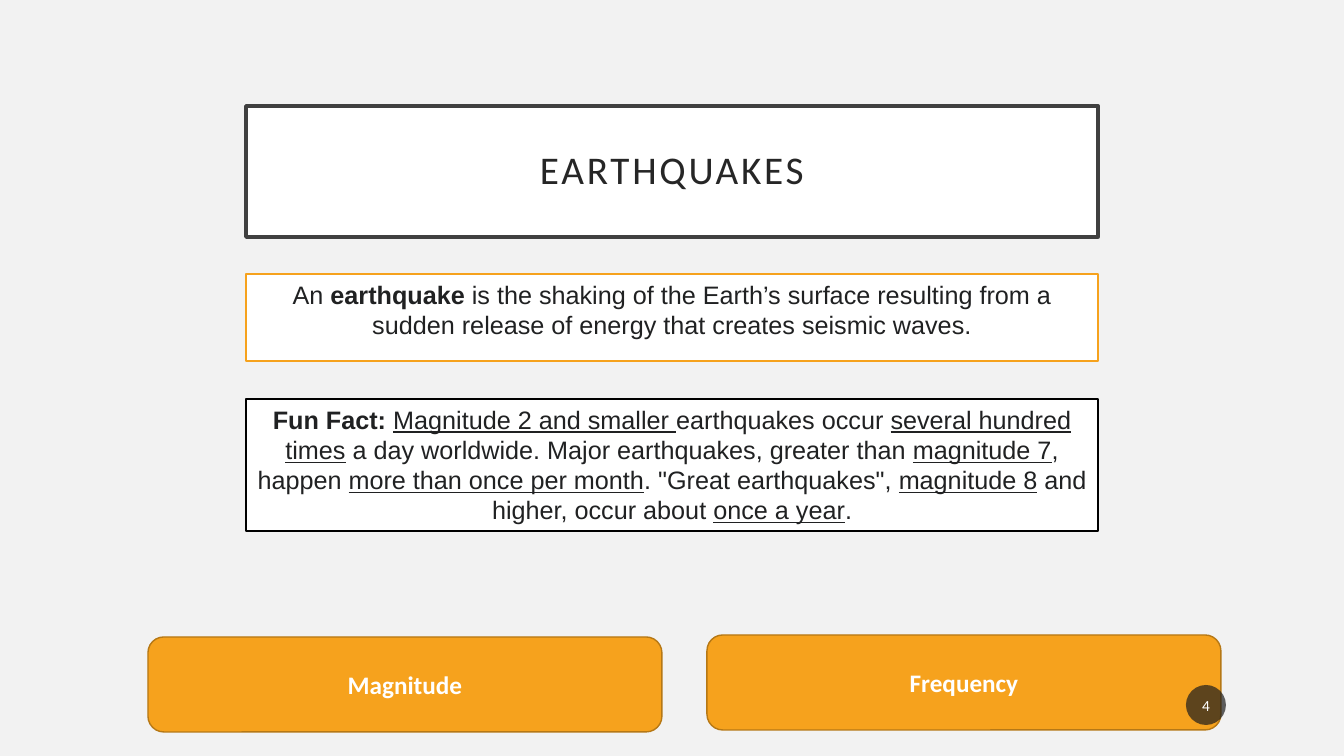
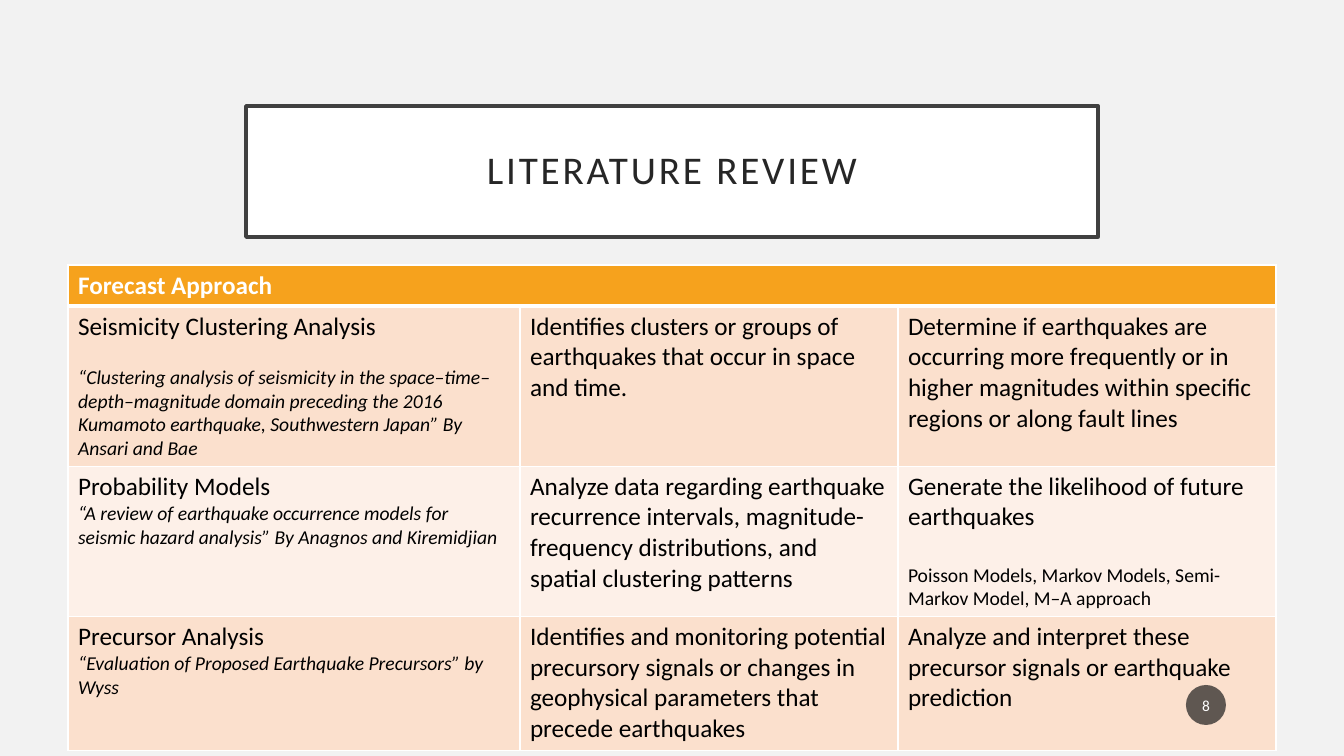
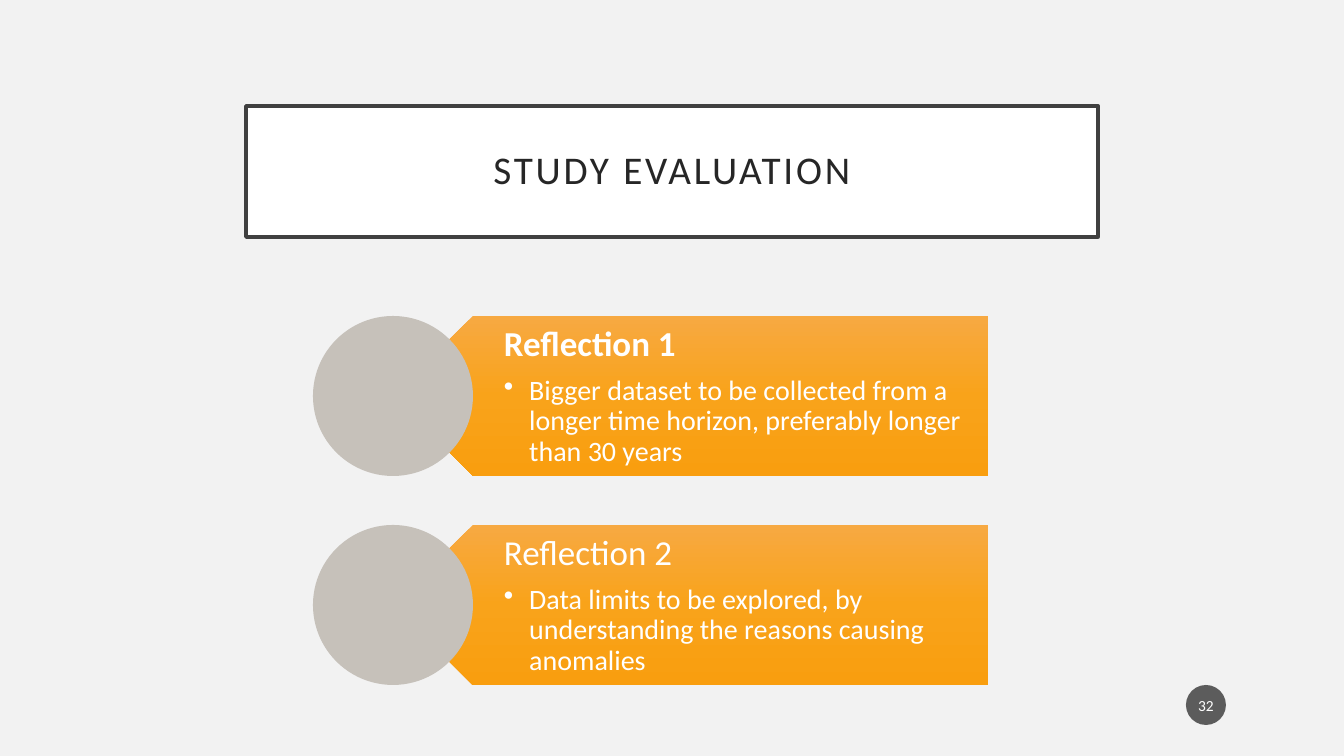
import copy

from lxml import etree
from pptx import Presentation
from pptx import util as u
from pptx.dml.color import RGBColor
from pptx.enum import shapes, text
from pptx.oxml.ns import qn

PX = 9071.43  # EMU in one px, 100.8 px to the inch
FONT = "Calibri"
BODY_FONT = "Arial"
COLORS = {
    "background": "F2F2F2", "white": "FFFFFF", "black": "000000",
    "title": "262626", "frame": "404040", "body": "202122",
    "orange": "F6A21D", "orange_edge": "B67815",
    "band_dark": "FBE0CD", "band_light": "FDF0E8",
    "circle": "C6C1BA", "badge": "1D1D1D",
    "plate_top": "F7A942", "plate_middle": "F9A31A", "plate_bottom": "F99E0F",
}
RGB = {name: RGBColor.from_string(value) for name, value in COLORS.items()}


def style_shape(shape, bounds, fill=None, line=None, line_width=1, margins=(10, 5, 10, 5)):
    """Place a shape and set its fill, line and text margins; lengths in px."""
    shape.left, shape.top, shape.width, shape.height = [round(value * PX) for value in bounds]
    if fill:
        shape.shadow.inherit = False
        shape.fill.solid()
        shape.fill.fore_color.rgb = RGB[fill]
        if line:
            shape.line.color.rgb = RGB[line]
            shape.line.width = u.Pt(line_width)
        else:
            shape.line.fill.background()
    frame = shape.text_frame
    frame.word_wrap = True
    frame.auto_size = text.MSO_AUTO_SIZE.NONE
    frame.margin_left, frame.margin_top, frame.margin_right, frame.margin_bottom = [
        round(value * PX) for value in margins]
    return frame


def add_runs(paragraph, runs, size, color, font=FONT, align=text.PP_ALIGN.CENTER):
    """Add (text, style) runs; style holds the letters b, i and u."""
    paragraph.alignment = align
    for content, style in runs:
        run = paragraph.add_run()
        run.text = content
        run.font.name = font
        run.font.size = u.Pt(size)
        run.font.color.rgb = RGB[color]
        run.font.bold = "b" in style
        run.font.italic = "i" in style
        run.font.underline = "u" in style


presentation = Presentation()
presentation.slide_width = round(1344 * PX)
presentation.slide_height = round(756 * PX)
background = presentation.slide_master.background.fill
background.solid()
background.fore_color.rgb = RGB["background"]

# Slides with their framed titles
slides = []
for title, layout in (("EARTHQUAKES", 1), ("LITERATURE REVIEW", 5), ("STUDY EVALUATION", 5)):
    slide = presentation.slides.add_slide(presentation.slide_layouts[layout])
    frame = style_shape(slide.shapes.title, (246, 106, 852, 131), "white", "frame", 2.5,
                        margins=(20, 20, 20, 20))
    frame.vertical_anchor = text.MSO_ANCHOR.MIDDLE
    paragraph = frame.paragraphs[0]
    paragraph.line_spacing = 0.9
    add_runs(paragraph, [(title, "")], 28, "title")
    paragraph.runs[0].font._element.set("spc", "200")
    slides.append(slide)
earthquakes, review, evaluation = slides

# Earthquakes: definition
frame = style_shape(earthquakes.placeholders[1], (246, 274, 852, 87), "white", "orange")
frame.vertical_anchor = text.MSO_ANCHOR.TOP
paragraph = frame.paragraphs[0]
properties = paragraph._p.get_or_add_pPr()
properties.set("marL", "0")
properties.set("indent", "0")
etree.SubElement(properties, qn("a:buNone"))
paragraph.space_before = u.Pt(0)
add_runs(paragraph, [
    ("An ", ""), ("earthquake", "b"),
    (" is the shaking of the Earth’s surface resulting from a sudden release of energy "
     "that creates seismic waves.", ""),
], 18, "body", BODY_FONT)

# Earthquakes: fun fact
fact = earthquakes.shapes.add_shape(shapes.MSO_SHAPE.RECTANGLE, 0, 0, 0, 0)
frame = style_shape(fact, (246, 399, 852, 132), "white", "black")
frame.vertical_anchor = text.MSO_ANCHOR.TOP
add_runs(frame.paragraphs[0], [
    ("Fun Fact: ", "b"), ("Magnitude 2 and smaller ", "u"), ("earthquakes occur ", ""),
    ("several hundred times", "u"),
    (" a day worldwide. Major earthquakes, greater than ", ""), ("magnitude 7", "u"),
    (", happen ", ""), ("more than once per month", "u"),
    (". \"Great earthquakes\", ", ""), ("magnitude 8", "u"),
    (" and higher, occur about ", ""), ("once a year", "u"), (".", ""),
], 18, "body", BODY_FONT)

# Earthquakes: two measures
for label, left, top in (("Magnitude", 148, 637), ("Frequency", 707, 635)):
    button = earthquakes.shapes.add_shape(shapes.MSO_SHAPE.ROUNDED_RECTANGLE, 0, 0, 0, 0)
    frame = style_shape(button, (left, top, 514, 95), "orange", "orange_edge")
    frame.vertical_anchor = text.MSO_ANCHOR.MIDDLE
    add_runs(frame.paragraphs[0], [(label, "b")], 18, "white")

# Literature review: each cell lists (text, size, style, space before)
rows = [
    [[("Forecast Approach", 18, "b", 0)], [], []],
    [[("Seismicity Clustering Analysis", 18, "", 0),
      ("“Clustering analysis of seismicity in the space–time–depth–magnitude domain preceding "
       "the 2016 Kumamoto earthquake, Southwestern Japan” By Ansari and Bae", 14, "i", 17)],
     [("Identifies clusters or groups of earthquakes that occur in space and time.", 18, "", 0)],
     [("Determine if earthquakes are occurring more frequently or in higher magnitudes within "
       "specific regions or along fault lines", 18, "", 0)]],
    [[("Probability Models", 18, "", 0),
      ("“A review of earthquake occurrence models for seismic hazard analysis” "
       "By Anagnos and Kiremidjian", 14, "i", 0)],
     [("Analyze data regarding earthquake recurrence intervals, magnitude-frequency "
       "distributions, and spatial clustering patterns", 18, "", 0)],
     [("Generate the likelihood of future earthquakes", 18, "", 0),
      ("Poisson Models, Markov Models, Semi-Markov Model, M–A approach", 14, "", 22)]],
    [[("Precursor Analysis", 18, "", 0),
      ("“Evaluation of Proposed Earthquake Precursors” by Wyss", 14, "i", 0)],
     [("Identifies and monitoring potential precursory signals or changes in geophysical "
       "parameters that precede earthquakes", 18, "", 0)],
     [("Analyze and interpret these precursor signals or earthquake prediction", 18, "", 0)]],
]
row_heights = (41, 160, 150, 134)
column_widths = (452, 378, 378)
row_fills = ("orange", "band_dark", "band_light", "band_dark")
table = review.shapes.add_table(
    len(rows), len(column_widths), round(68 * PX), round(265 * PX),
    round(sum(column_widths) * PX), round(sum(row_heights) * PX)).table
table.horz_banding = False
for column, width in zip(table.columns, column_widths):
    column.width = round(width * PX)
for row_index, row in enumerate(rows):
    table.rows[row_index].height = round(row_heights[row_index] * PX)
    for column_index, entries in enumerate(row):
        cell = table.cell(row_index, column_index)
        properties = cell._tc.get_or_add_tcPr()
        for side in "LRTB":
            heavy = (row_index, side) in ((0, "B"), (1, "T"))
            border = etree.SubElement(properties, qn("a:ln" + side),
                                      w=str(u.Pt(3 if heavy else 1)))
            border_fill = etree.SubElement(border, qn("a:solidFill"))
            etree.SubElement(border_fill, qn("a:srgbClr"), val=COLORS["white"])
        cell.fill.solid()
        cell.fill.fore_color.rgb = RGB[row_fills[row_index]]
        for index, (content, size, style, gap) in enumerate(entries):
            frame = cell.text_frame
            paragraph = frame.add_paragraph() if index else frame.paragraphs[0]
            if gap:
                paragraph.space_before = u.Pt(gap)
            add_runs(paragraph, [(content, style)], size, "black" if row_index else "white",
                     align=text.PP_ALIGN.LEFT)
table.cell(0, 0).merge(table.cell(0, 2))

# Study evaluation: pointed plates with circles
reflections = [
    ("Reflection 1", "b", "Bigger dataset to be collected from a longer time horizon, "
                          "preferably longer than 30 years"),
    ("Reflection 2", "", "Data limits to be explored, by understanding the reasons "
                         "causing anomalies"),
]
group = evaluation.shapes.add_group_shape()
for index, (heading, style, detail) in enumerate(reflections):
    top = 316 + index * 209
    plate = group.shapes.add_shape(shapes.MSO_SHAPE.PENTAGON, 0, 0, 0, 0)
    style_shape(plate, (393, top, 595, 160), "orange")
    plate.rotation = 180
    plate.fill.gradient()
    plate.fill.gradient_angle = 270
    gradient = plate._element.spPr.find(qn("a:gradFill"))
    gradient.set("rotWithShape", "0")
    stop_list = gradient.find(qn("a:gsLst"))
    stop_list.insert(1, copy.deepcopy(stop_list[0]))
    stops = zip(plate.fill.gradient_stops, (0, 0.5, 1),
                ("plate_top", "plate_middle", "plate_bottom"))
    for stop, position, color in stops:
        stop.position = position
        stop.color.rgb = RGB[color]

    frame = style_shape(group.shapes.add_textbox(0, 0, 0, 0), (433, top, 555, 160),
                        margins=(71, 10, 19, 10))
    paragraph = frame.paragraphs[0]
    paragraph.line_spacing = 0.9
    paragraph.space_after = u.Pt(9)
    add_runs(paragraph, [(heading, style)], 25, "white", align=text.PP_ALIGN.LEFT)
    paragraph = frame.add_paragraph()
    paragraph.level = 1
    properties = paragraph._p.get_or_add_pPr()
    properties.set("marL", str(u.Inches(0.25)))
    properties.set("indent", str(-u.Inches(0.25)))
    etree.SubElement(properties, qn("a:buChar"), char="•")
    paragraph.line_spacing = 0.9
    add_runs(paragraph, [(detail, "")], 20, "white", align=text.PP_ALIGN.LEFT)

    circle = group.shapes.add_shape(shapes.MSO_SHAPE.OVAL, 0, 0, 0, 0)
    style_shape(circle, (313, top, 160, 160), "circle")

# Page number badges, above everything else
for slide, number in zip(slides, ("4", "8", "32")):
    badge = slide.shapes.add_shape(shapes.MSO_SHAPE.OVAL, 0, 0, 0, 0)
    frame = style_shape(badge, (1186, 685, 40, 40), "badge", margins=(2, 5, 2, 5))
    frame.vertical_anchor = text.MSO_ANCHOR.MIDDLE
    badge_color = badge._element.spPr.find(qn("a:solidFill"))[0]
    etree.SubElement(badge_color, qn("a:alpha"), val="70000")
    add_runs(frame.paragraphs[0], [(number, "")], 11, "white")

presentation.save("out.pptx")
